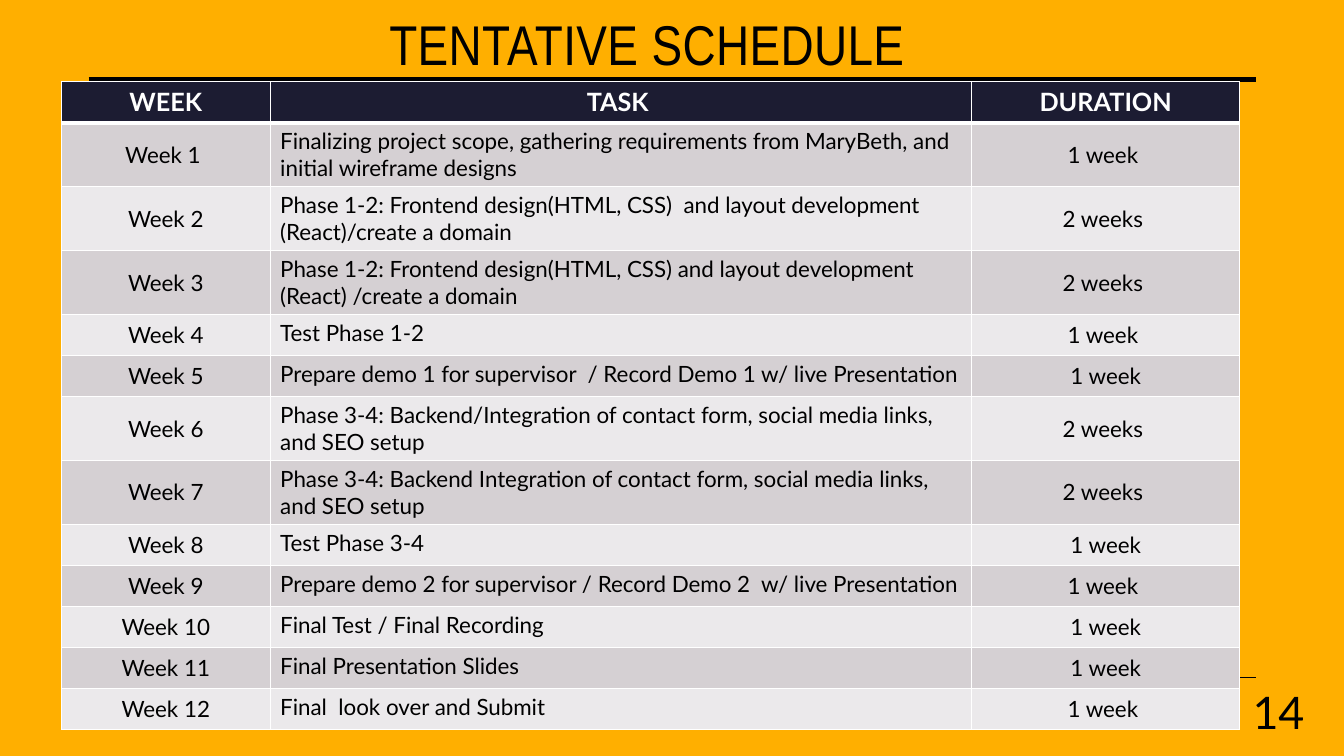
from dataclasses import dataclass

from lxml import etree
from pptx import Presentation
from pptx import util as u
from pptx.dml.color import RGBColor
from pptx.enum import shapes, text
from pptx.oxml.ns import qn


@dataclass(frozen=True)
class Theme:
    back: str = "FFAF00"
    ink: str = "000000"
    white: str = "FFFFFF"
    header: str = "1C1C32"
    bands: tuple = ("D5D0D3", "EBE9EB")
    title_font: str = "Arial Narrow"
    body_font: str = "Lato"
    title_size: int = 40
    number_size: int = 32
    header_size: int = 18
    body_size: int = 16


WEEKS = [
    ("Week 1 ", "Finalizing project scope, gathering requirements from MaryBeth, and initial wireframe designs", "1 week "),
    ("Week 2", "Phase 1-2: Frontend design(HTML, CSS)  and layout development (React)/create a domain", "2 weeks "),
    ("Week 3", "Phase 1-2: Frontend design(HTML, CSS) and layout development (React) /create a domain", "2 weeks "),
    ("Week 4", "Test Phase 1-2", "1 week "),
    ("Week 5", "Prepare demo 1 for supervisor  / Record Demo 1 w/ live Presentation", "1 week"),
    ("Week 6", "Phase 3-4: Backend/Integration of contact form, social media links, and SEO setup", "2 weeks "),
    ("Week 7", "Phase 3-4: Backend Integration of contact form, social media links, and SEO setup", "2 weeks "),
    ("Week 8", "Test Phase 3-4", "1 week"),
    ("Week 9", "Prepare demo 2 for supervisor / Record Demo 2  w/ live Presentation", "1 week "),
    ("Week 10", "Final Test / Final Recording", "1 week"),
    ("Week 11", "Final Presentation Slides", "1 week"),
    ("Week 12", "Final  look over and Submit", "1 week "),
]


class Deck:
    COLS, ROWS = 40, 30

    def __init__(self, theme):
        self.t = theme
        self.prs = Presentation()
        self.prs.slide_width = u.Inches(13.33)
        self.prs.slide_height = u.Inches(7.5)
        self.s = self.prs.slides.add_slide(self.prs.slide_layouts[6])
        fill = self.s.background.fill
        fill.solid()
        fill.fore_color.rgb = RGBColor.from_string(theme.back)

    def x(self, cols):
        return round(self.prs.slide_width * cols / self.COLS)

    def y(self, rows):
        return round(self.prs.slide_height * rows / self.ROWS)

    def rule(self, left, right, row, weight):
        ln = self.s.shapes.add_connector(
            shapes.MSO_CONNECTOR.STRAIGHT, self.x(left), self.y(row), self.x(right), self.y(row))
        ln.line.color.rgb = RGBColor.from_string(self.t.ink)
        ln.line.width = u.Pt(weight)
        etree.SubElement(ln._element.spPr, qn("a:effectLst"))

    def add_words(self, tf, words, size, color, align, font=None, bold=False):
        p = tf.paragraphs[0]
        p.alignment = align
        r = p.add_run()
        r.text = words
        r.font.name = font or self.t.body_font
        r.font.size = u.Pt(size)
        r.font.bold = bold
        r.font.color.rgb = RGBColor.from_string(color)
        return r

    def label(self, left, top, width, height, words, size, align, font=None):
        sp = self.s.shapes.add_textbox(self.x(left), self.y(top), self.x(width), self.y(height))
        tf = sp.text_frame
        tf.word_wrap = True
        tf.vertical_anchor = text.MSO_ANCHOR.MIDDLE
        return self.add_words(tf, words, size, self.t.ink, align, font)

    def borders(self, cell, top=1, bottom=1):
        tcPr = cell._tc.get_or_add_tcPr()
        for i, (side, weight) in enumerate((("L", 1), ("R", 1), ("T", top), ("B", bottom))):
            ln = etree.Element(qn(f"a:ln{side}"), w=str(u.Pt(weight)))
            fill = etree.SubElement(ln, qn("a:solidFill"))
            etree.SubElement(fill, qn("a:srgbClr"), val=self.t.white)
            tcPr.insert(i, ln)

    def table(self, left, top, widths, row, header, body):
        t = self.t
        data = [header, *body]
        tbl = self.s.shapes.add_table(
            len(data), len(widths), self.x(left), self.y(top),
            self.x(sum(widths)), self.y(row * len(data))).table
        tbl.horz_banding = False
        for col, width in zip(tbl.columns, widths):
            col.width = self.x(width)
        for i, values in enumerate(data):
            tbl.rows[i].height = self.y(row)
            head = i == 0
            for j, words in enumerate(values):
                cell = tbl.cell(i, j)
                task = j == 1 and not head
                cell.vertical_anchor = text.MSO_ANCHOR.TOP if task else text.MSO_ANCHOR.MIDDLE
                cell.fill.solid()
                cell.fill.fore_color.rgb = RGBColor.from_string(t.header if head else t.bands[(i - 1) % 2])
                self.borders(cell, top=3 if i == 1 else 1, bottom=3 if head else 1)
                self.add_words(cell.text_frame, words,
                               t.header_size if head else t.body_size,
                               t.white if head else t.ink,
                               text.PP_ALIGN.LEFT if task else text.PP_ALIGN.CENTER, bold=head)


def main():
    theme = Theme()
    deck = Deck(theme)
    for row, weight in ((3.16, 3.5), (26.88, 1)):
        deck.rule(2.64, 37.38, row, weight)
    r = deck.label(1.92, -1.16, 35.07, 5.72, "TENTATIVE SCHEDULE ",
                   theme.title_size, text.PP_ALIGN.CENTER, theme.title_font)
    r._r.get_or_add_rPr().set("spc", "30")
    deck.label(36.9, 27.44, 2.22, 1.6, "14", theme.number_size, text.PP_ALIGN.RIGHT)
    deck.table(1.83, 3.24, (6.21, 20.88, 7.98), 1.63, ("WEEK", "TASK ", "DURATION"), WEEKS)
    deck.prs.save("out.pptx")


if __name__ == "__main__":
    main()
